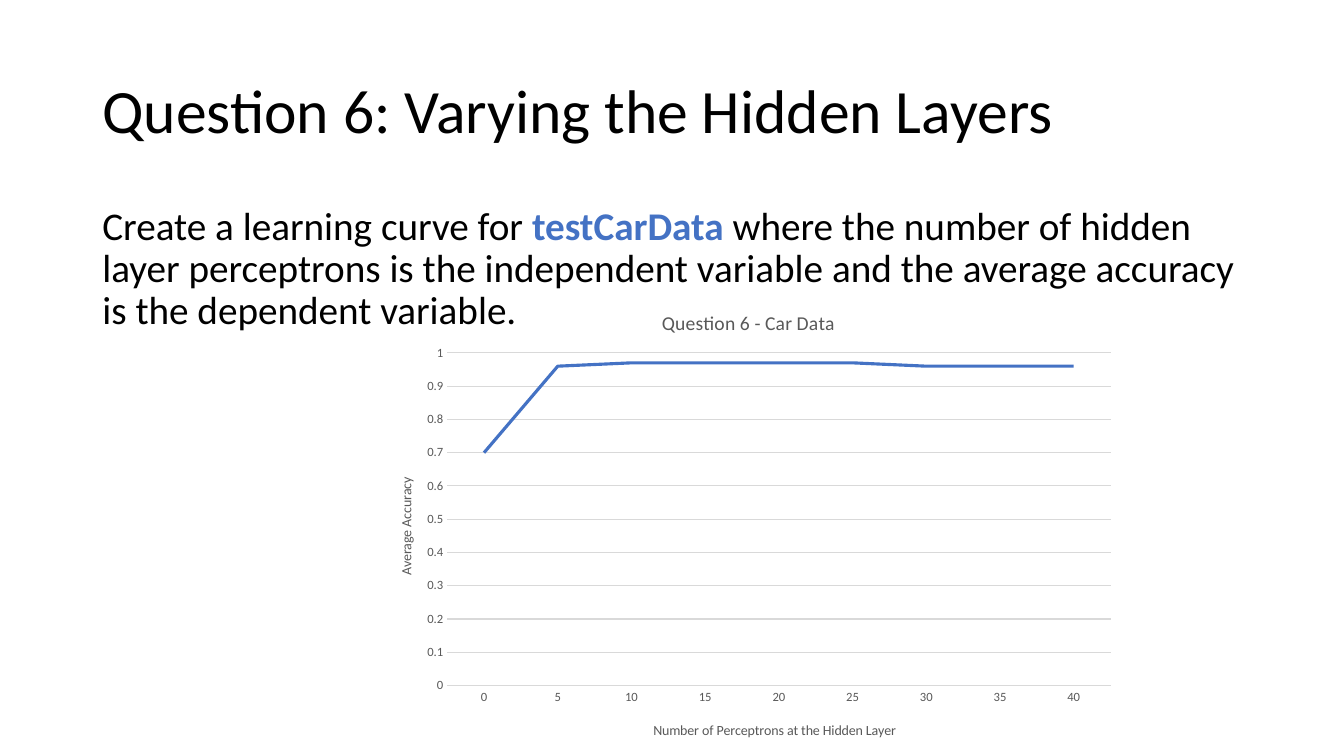
from dataclasses import dataclass

from lxml.etree import SubElement
from pptx import Presentation
from pptx.chart.data import CategoryChartData
from pptx.dml.color import RGBColor
from pptx.enum.chart import XL_CHART_TYPE, XL_TICK_MARK
from pptx.enum.text import MSO_ANCHOR
from pptx.oxml.ns import qn
from pptx.util import Cm, Pt


@dataclass(frozen=True)
class Theme:
    font: str = "Calibri"
    black: RGBColor = RGBColor(0, 0, 0)
    blue: RGBColor = RGBColor(0x44, 0x72, 0xC4)
    grey: RGBColor = RGBColor(0x59, 0x59, 0x59)
    rule: RGBColor = RGBColor(0xD9, 0xD9, 0xD9)
    heading: int = 44
    body: int = 28
    chart_title: int = 14
    axis_title: int = 10
    tick_label: int = 9


THEME = Theme()


def style_font(font, size, color, bold=False):
    font.name = THEME.font
    font.size = Pt(size)
    font.bold = bold
    font.color.rgb = color


def add_text(page, left, top, width, height, spans, size, anchor):
    """Add one wrapped paragraph made of (text, color, bold) spans."""
    box = page.shapes.add_textbox(Cm(left), Cm(top), Cm(width), Cm(height))
    frame = box.text_frame
    frame.word_wrap = True
    frame.vertical_anchor = anchor
    para = frame.paragraphs[0]
    para.line_spacing = 0.9
    for text, color, bold in spans:
        span = para.add_run()
        span.text = text
        style_font(span.font, size, color, bold)


def place(parent, index, **fractions):
    """Fix a chart part at fractions of the chart's width and height."""
    previous = parent.find(qn("c:layout"))
    if previous is not None:
        parent.remove(previous)
    layout = parent.makeelement(qn("c:layout"))
    parent.insert(index, layout)
    manual = SubElement(layout, qn("c:manualLayout"))
    if "w" in fractions:
        SubElement(manual, qn("c:layoutTarget")).set("val", "inner")
    modes = {"xMode": "edge", "yMode": "edge"}
    for name, value in {**modes, **fractions}.items():
        SubElement(manual, qn(f"c:{name}")).set("val", str(value))


def set_title(owner, title, text, size, x, y):
    owner.has_title = True
    para = title.text_frame.paragraphs[0]
    para.text = text
    style_font(para.runs[0].font, size, THEME.grey)
    place(title.text_frame._txBody.getparent().getparent(), 1, x=x, y=y)


def style_axis(axis, title, x, y):
    axis.has_title = True
    set_title(axis, axis.axis_title, title, THEME.axis_title, x, y)
    axis.major_tick_mark = axis.minor_tick_mark = XL_TICK_MARK.NONE
    style_font(axis.tick_labels.font, THEME.tick_label, THEME.grey)


def draw_rule(line):
    line.color.rgb = THEME.rule
    line.width = Pt(0.75)


def add_learning_curve(page):
    name = "Question 6 - Car Data"
    data = CategoryChartData()
    data.categories = [str(count) for count in range(0, 41, 5)]
    data.add_series(name, [0.7, 0.96, 0.97, 0.97, 0.97, 0.97, 0.96, 0.96, 0.96])
    chart = page.shapes.add_chart(
        XL_CHART_TYPE.LINE, Cm(9.37), Cm(7.24), Cm(19), Cm(11.81), data
    ).chart
    style_font(chart.font, THEME.axis_title, THEME.black)
    chart.has_legend = False
    set_title(chart, chart.chart_title, name, THEME.chart_title, 0.38, 0.04)
    place(chart.plots[0]._element.getparent(), 0, x=0.1, y=0.14, w=0.88, h=0.71)

    # Axes
    categories, values = chart.category_axis, chart.value_axis
    style_axis(categories, "Number of Perceptrons at the Hidden Layer", 0.37, 0.92)
    style_axis(values, "Average Accuracy", 0.03, 0.4)
    draw_rule(categories.format.line)
    draw_rule(values.major_gridlines.format.line)
    values.format.line.fill.background()
    values.minimum_scale, values.maximum_scale, values.major_unit = 0, 1, 0.1

    # Accuracy line
    chart.plots[0].vary_by_categories = False
    curve = chart.plots[0].series[0]
    curve.smooth = False
    curve.format.line.color.rgb = THEME.blue
    curve.format.line.width = Pt(2.25)


def main():
    deck = Presentation()
    deck.slide_width, deck.slide_height = Cm(33.87), Cm(19.05)
    page = deck.slides.add_slide(deck.slide_layouts[6])

    # Heading
    heading = [("Question 6: Varying the Hidden Layers", THEME.black, False)]
    add_text(page, 2.33, 1.01, 29.21, 3.68, heading, THEME.heading, MSO_ANCHOR.MIDDLE)

    # Task
    task = [
        ("Create a learning curve for ", THEME.black, False),
        ("testCarData ", THEME.blue, True),
        ("where the number of hidden layer perceptrons is the independent variable "
         "and the average accuracy is the dependent variable.", THEME.black, False),
    ]
    add_text(page, 2.33, 5.07, 29.21, 12.09, task, THEME.body, MSO_ANCHOR.TOP)

    # Chart
    add_learning_curve(page)
    deck.save("out.pptx")


if __name__ == "__main__":
    main()
